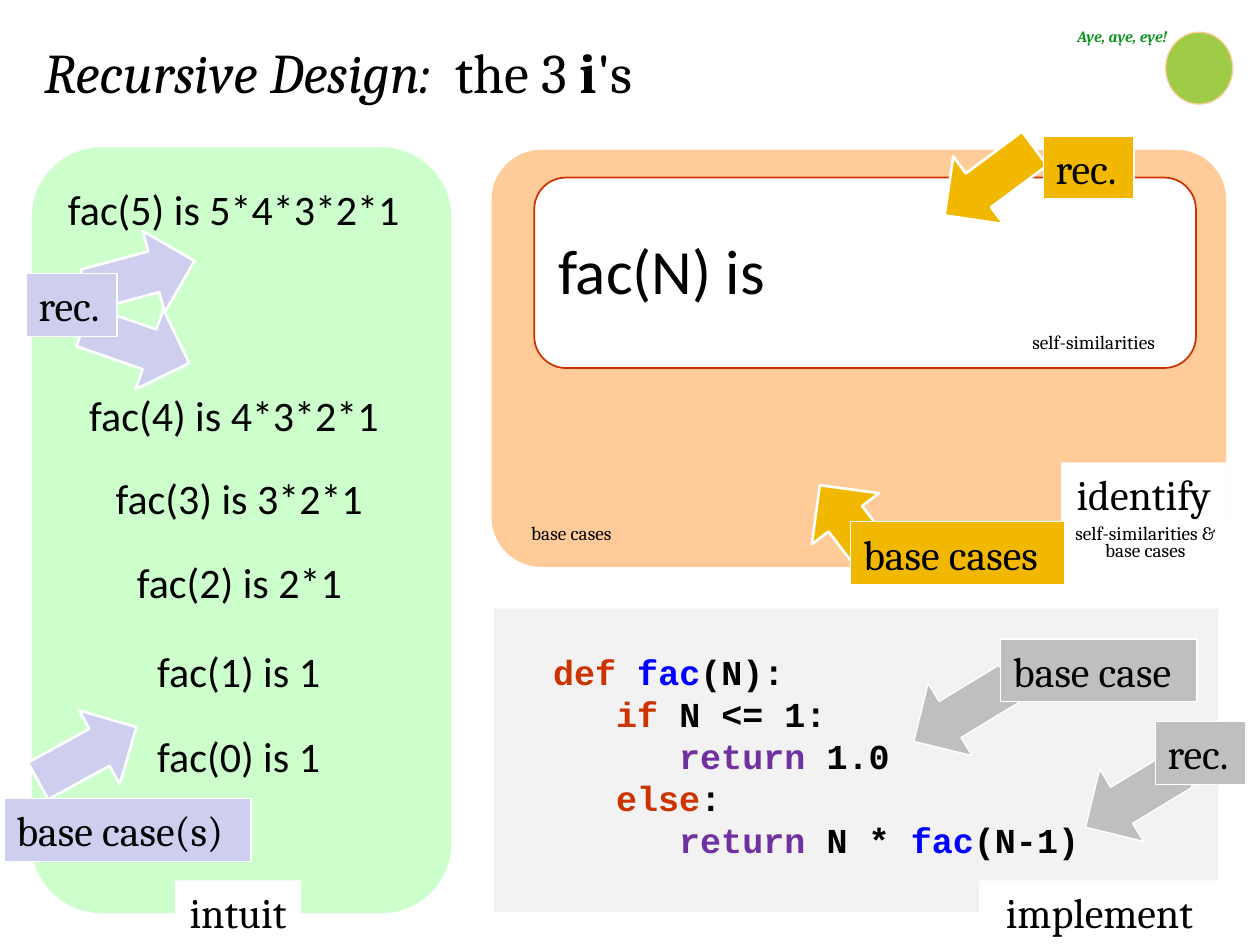
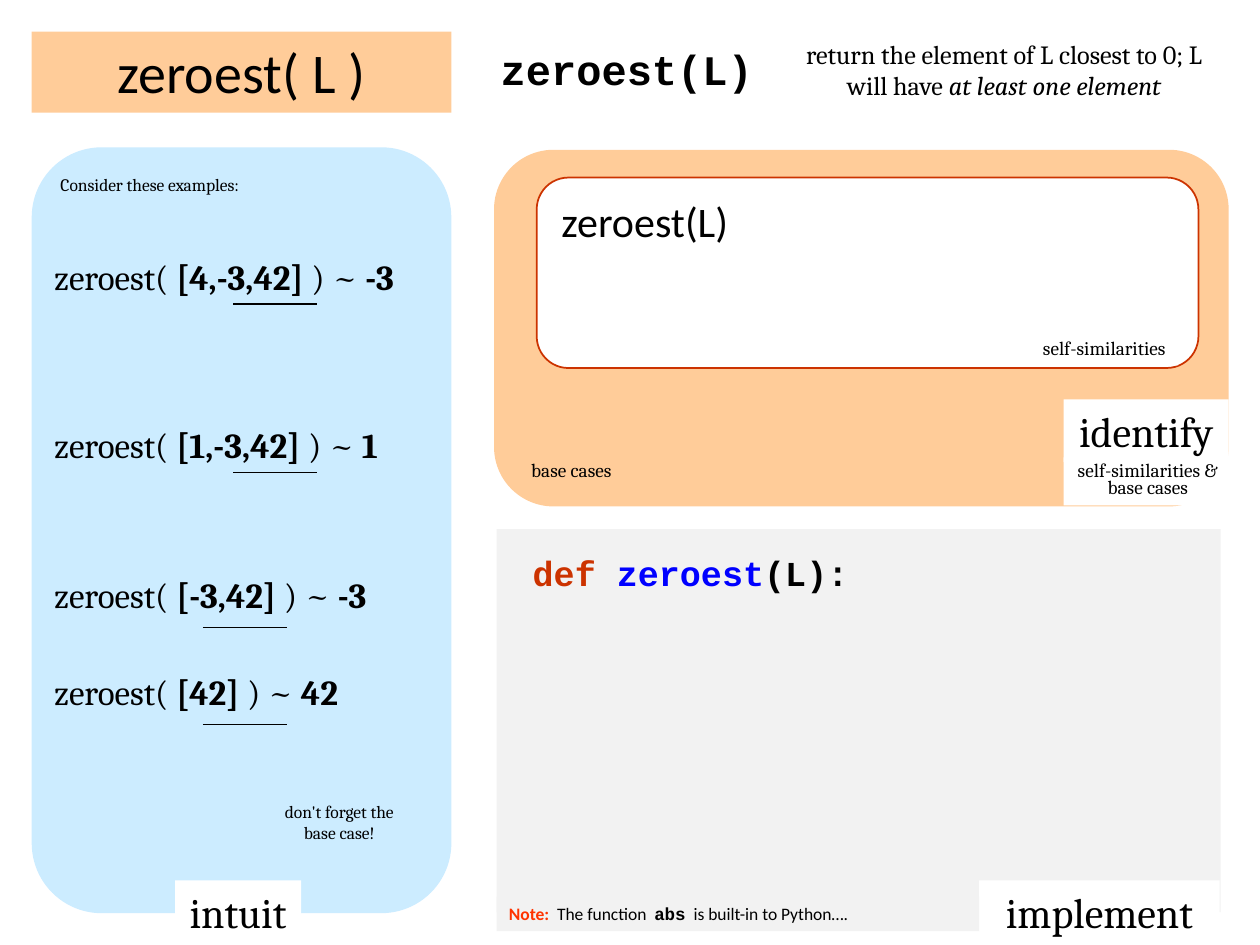
from pptx import Presentation
from pptx.dml.color import RGBColor
from pptx.enum.shapes import MSO_CONNECTOR, MSO_SHAPE
from pptx.enum.text import MSO_ANCHOR, MSO_AUTO_SIZE, PP_ALIGN
from pptx.oxml.ns import qn
from pptx.util import Cm, Pt

BLACK = RGBColor(0x00, 0x00, 0x00)
WHITE = RGBColor(0xFF, 0xFF, 0xFF)
PALE = RGBColor(0xF2, 0xF2, 0xF2)
GREY = RGBColor(0xBF, 0xBF, 0xBF)
PEACH = RGBColor(0xFF, 0xCC, 0x99)
MINT = RGBColor(0xCC, 0xFF, 0xCC)
SKY = RGBColor(0xCC, 0xEC, 0xFF)
LILAC = RGBColor(0xCE, 0xCE, 0xEF)
GOLD = RGBColor(0xF2, 0xB8, 0x00)
RUST = RGBColor(0xCC, 0x33, 0x00)
RED = RGBColor(0xFF, 0x33, 0x00)
BLUE = RGBColor(0x00, 0x00, 0xFF)
PURPLE = RGBColor(0x70, 0x30, 0xA0)
GREEN = RGBColor(0x0B, 0x95, 0x20)
LIME = RGBColor(0x9E, 0xCC, 0x46)

SERIF, SANS, MONO = "Cambria", "Calibri", "Courier New"
LEFT, MID, RIGHT = PP_ALIGN.LEFT, PP_ALIGN.CENTER, PP_ALIGN.RIGHT
RECT, ROUND = MSO_SHAPE.RECTANGLE, MSO_SHAPE.ROUNDED_RECTANGLE
ARROW, OVAL = MSO_SHAPE.DOWN_ARROW, MSO_SHAPE.OVAL


def draw(slide, kind, at, fill, line=None, width=0.75):
    shape = slide.shapes.add_shape(kind, *map(Cm, at))
    shape.shadow.inherit = False
    shape.fill.solid()
    shape.fill.fore_color.rgb = fill
    if line is None:
        shape.line.fill.background()
    else:
        shape.line.color.rgb = line
        shape.line.width = Pt(width)
    return shape


def write(slide, at, lines, size, font=SERIF, align=LEFT, fill=None,
          line=None, wrap=True, lead=None):
    """Add a text box; each line is a list of (text, colour, style, font) runs."""
    if fill is None:
        box = slide.shapes.add_textbox(*map(Cm, at))
    else:
        box = draw(slide, RECT, at, fill, line)
    frame = box.text_frame
    frame.word_wrap = wrap
    frame.auto_size = MSO_AUTO_SIZE.SHAPE_TO_FIT_TEXT
    frame.vertical_anchor = MSO_ANCHOR.TOP
    if isinstance(lines, str):
        lines = [[(lines,)]]
    for i, runs in enumerate(lines):
        para = frame.add_paragraph() if i else frame.paragraphs[0]
        para.alignment = align
        if lead:
            para.line_spacing = Pt(lead)
        for text, *look in runs:
            colour, style, face = look + [BLACK, "", font][len(look):]
            run = para.add_run()
            run.text = text
            run.font.size = Pt(size)
            run.font.name = face
            run.font.color.rgb = colour
            run.font.bold = "b" in style
            run.font.italic = "i" in style


deck = Presentation()
deck.slide_width, deck.slide_height = Cm(25.4), Cm(19.05)

# Frame of each slide: shift, left fill, panel height, code top, tag top, note top
frames = [
    (0, MINT, 8.41, 12.27, 9.32, 6.65, MID),
    (0.05, SKY, 7.19, 10.67, 8.05, 6.76, RIGHT),
]
for dx, fill, high, top, tag, note, side in frames:
    slide = deck.slides.add_slide(deck.slide_layouts[6])
    draw(slide, RECT, (9.96 + dx, top, 14.6, 18.39 - top), PALE)
    panel = draw(slide, ROUND, (9.91 + dx, 3.02, 14.81, high), PEACH)
    if slide == deck.slides[0]:
        panel.adjustments[0] = 0.12
    draw(slide, ROUND, (10.77 + dx, 3.58, 13.34, 3.84), WHITE, RUST, 1)
    draw(slide, ROUND, (0.64, 2.97, 8.46, 15.44), fill)
    for x, y, wide, text in [
        (3.53, 17.75, 2.54, "intuit"),
        (19.74, 17.75, 4.85, " implement "),
        (21.39 + dx, tag, 3.33, "identify"),
    ]:
        write(slide, (x, y, wide, 1.27), text, 24, align=MID, fill=WHITE, wrap=False)
    for x, y, tall, text, align, back in [
        (21.39 + dx, tag + 1.17, 0.97, "self-similarities & base cases", MID, WHITE),
        (20.35, note, 0.61, "self-similarities", side, WHITE),
        (10.46, tag + 1.18, 0.61, "base cases", LEFT, PEACH),
    ]:
        write(slide, (x, y, 3.4, tall), text, 11, align=align, fill=back, lead=10)

first, second = deck.slides

# Slide 1: factorial
write(first, (0.64, 0.64, 13.34, 1.63),
      [[("Recursive Design:  ", BLACK, "i"), ("the 3 ",), ("i", BLACK, "b"), ("'s",)]],
      32, fill=WHITE)
write(first, (11, 4.55, 12.04, 1.8), "fac(N) is", 36, SANS)
code = [
    [("def ", RUST, "b"), ("fac", BLUE, "b"), ("(N):", BLACK, "b")],
    [("   if", RUST, "b"), (" N <= 1:", BLACK, "b")],
    [("      return", PURPLE, "b"), (" 1.0", BLACK, "b")],
    [("   else", RUST, "b"), (":", BLACK, "b")],
    [("      return ", PURPLE, "b"), ("N * ", BLACK, "b"), ("fac", BLUE, "b"),
     ("(N-1)", BLACK, "b")],
]
write(first, (10.9, 12.98, 13.28, 4.52), code, 20, MONO)

for x, y, wide, text in [
    (1.12, 3.58, 7.26, "fac(5) is 5*4*3*2*1"),
    (1.55, 7.72, 6.4, "fac(4) is 4*3*2*1"),
    (2.08, 9.4, 5.54, "fac(3) is 3*2*1"),
    (2.51, 11.1, 4.67, "fac(2) is 2*1"),
    (2.92, 12.88, 3.81, "fac(1) is 1"),
    (2.92, 14.6, 3.81, "fac(0) is 1"),
]:
    write(first, (x, y, wide, 1.27), text, 24, SANS, wrap=False)

for x, y, turn, fill, width in [
    (18.54, 13.23, 58.8, GREY, 0.75),
    (22, 14.96, 58.8, GREY, 0.75),
    (19.1, 2.54, 53.4, GOLD, 1.5),
    (16.36, 9.55, 142.7, GOLD, 1.5),
    (1.98, 4.42, 255, LILAC, 1.5),
    (1.9, 5.82, 289.2, LILAC, 1.5),
    (0.91, 14.07, 241.3, LILAC, 1.5),
]:
    draw(first, ARROW, (x, y, 1.7, 2.26), fill, WHITE, width).rotation = turn

for x, y, wide, text, fill in [
    (20.17, 12.88, 3.96, "base case", GREY),
    (23.29, 14.55, 1.83, "rec.", GREY),
    (21.03, 2.74, 1.83, "rec.", GOLD),
    (17.15, 10.52, 4.32, "base cases", GOLD),
    (0.08, 16.1, 4.98, "base case(s)", LILAC),
    (0.53, 5.51, 1.83, "rec.", LILAC),
]:
    write(first, (x, y, wide, 1.27), text, 24, fill=fill, line=WHITE, wrap=False)

draw(first, OVAL, (23.5, 0.65, 1.35, 1.45), LIME, PEACH)
write(first, (20.17, 0.41, 3.61, 0.64), [[("Aye, aye, eye!", GREEN, "bi")]], 9,
      align=RIGHT)

# Slide 2: zeroest
write(second, (9.09, 0.76, 7.09, 1.27), [[("zeroest(L)", BLACK, "b")]], 24, MONO,
      MID, WHITE)
write(second, (15.85, 0.64, 8.79, 1.55),
      [[("return the element of L closest to 0; L will have ",),
        ("at least one element", BLACK, "i")]], 15, align=MID, fill=WHITE)
write(second, (0.64, 0.64, 8.46, 1.63), "zeroest( L )", 32, SANS, MID, PEACH)
write(second, (11.07, 3.81, 6.22, 1.27), "zeroest(L)", 24, SANS)
write(second, (10.49, 11, 13.28, 1.12),
      [[("def ", RUST, "b"), ("zeroest", BLUE, "b"), ("(L):", BLACK, "b")]], 20, MONO)
write(second, (0.97, 3.38, 7.44, 0.69), "Consider these examples:", 10)
write(second, (5.28, 16.03, 3.12, 1.12), "don't forget the base case!", 10, align=MID)
write(second, (10.01, 18.08, 9.73, 0.69),
      [[("Note:", RED, "b"), ("  The function  ",), ("abs", BLACK, "b", MONO),
        ("  is built-in to Python….",)]], 10, SANS, fill=PALE)

for y, data, best, x, rule in [
    (5.03, "[4,-3,42]", "-3", 4.7, 6.13),
    (8.41, "[1,-3,42]", "1", 4.7, 9.52),
    (11.43, "[-3,42]", "-3", 4.09, 12.65),
    (13.39, "[42]", "42", 4.09, 14.61),
]:
    write(second, (0.84, y, 8.05, 1.12),
          [[("zeroest( ",), (data, BLACK, "b"), (" ) ~ ",), (best, BLACK, "b")]], 20)
    line = second.shapes.add_connector(
        MSO_CONNECTOR.STRAIGHT, Cm(x), Cm(rule), Cm(x + 1.7), Cm(rule))
    line.line.color.rgb = BLACK
    line.line.width = Pt(0.75)
    props = line._element.spPr
    props.append(props.makeelement(qn("a:effectLst"), {}))

deck.save("out.pptx")
